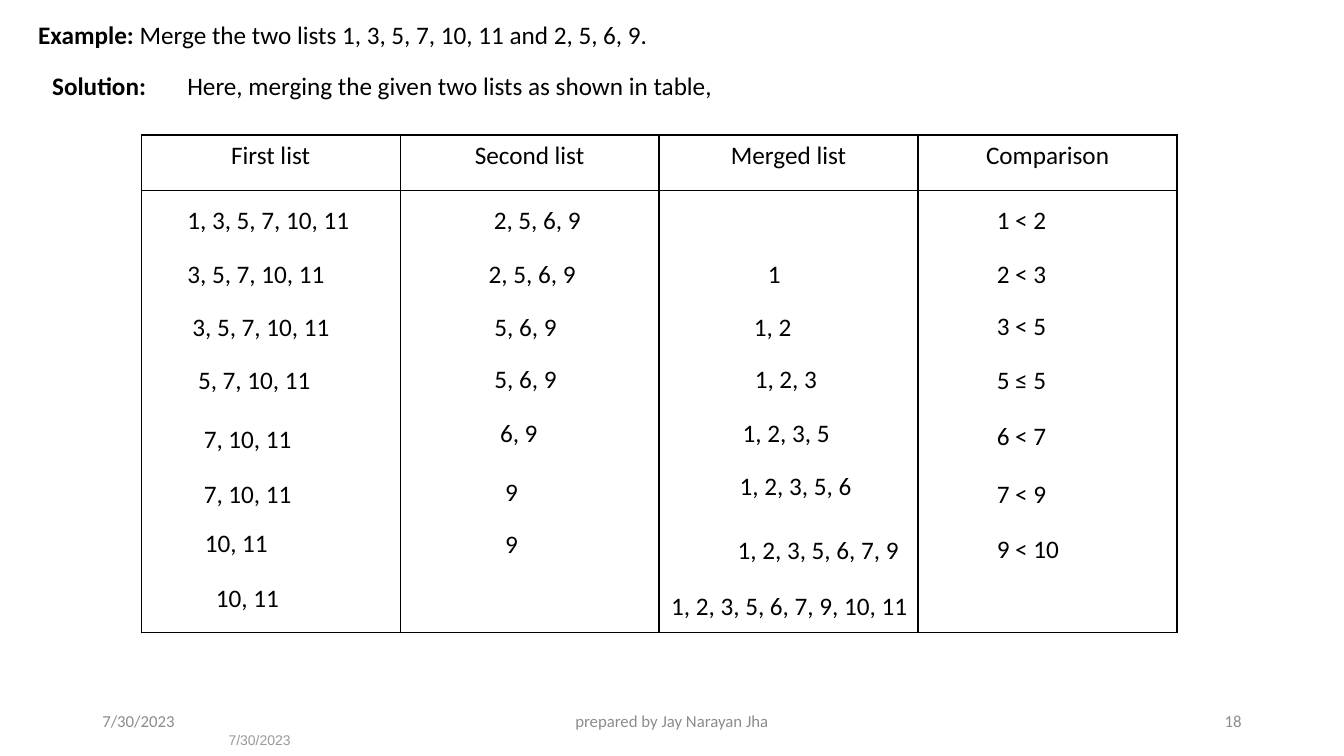
"""Build the slide that merges two sorted lists step by step."""
from lxml.etree import SubElement
from pptx import Presentation
from pptx.dml.color import RGBColor
from pptx.enum.text import MSO_ANCHOR, MSO_AUTO_SIZE, PP_ALIGN
from pptx.oxml.ns import qn
from pptx.util import Pt

COLORS = {"ink": "000000", "footer": "8C8C8C", "stamp": "9B9A98"}
GLYPH_EMS = {" ": 0.226, ",": 0.25, "<": 0.498, "≤": 0.498}
DIGIT_EMS = 0.507
LINE_HEIGHT = 29

FIRST_LIST = [
    ("1, 3, 5, 7, 10, 11", 126.7, 142.6),
    ("3, 5, 7, 10, 11", 126.7, 180.7),
    ("3, 5, 7, 10, 11", 130.3, 218.9),
    ("5, 7, 10, 11", 134.4, 257),
    ("7, 10, 11", 138.5, 298.8),
    ("7, 10, 11", 138.5, 338.4),
    ("10, 11", 139.2, 373),
    ("10, 11", 147.1, 412.6),
]
SECOND_LIST = [
    ("2, 5, 6, 9", 345.6, 142.6),
    ("2, 5, 6, 9", 342, 180.7),
    ("5, 6, 9", 346.1, 218.9),
    ("5, 6, 9", 346.1, 256.3),
    ("6, 9", 350.1, 294.5),
    ("9", 353.7, 337),
    ("9", 353.7, 373.7),
]
MERGED_LIST = [
    ("1", 541.4, 180.7),
    ("1, 2", 531.4, 218.9),
    ("1, 2, 3", 532.1, 255.6),
    ("1, 2, 3, 5", 523.4, 294.5),
    ("1, 2, 3, 5, 6", 521.3, 332.6),
    ("1, 2, 3, 5, 6, 7, 9", 519.8, 378),
    ("1, 2, 3, 5, 6, 7, 9, 10, 11", 472.3, 418.3),
]
COMPARISON_LEFT = 704.9
COMPARISONS = [
    ("1 < 2", 142.6),
    ("2 < 3", 180.7),
    ("3 < 5", 218.2),
    ("5 ≤ 5", 257),
    ("6 < 7", 296.6),
    ("7 < 9", 338.4),
    ("9 < 10", 377.3),
]


def write(frame, text, size=18, font="Calibri", color="ink", bold=False, align=PP_ALIGN.LEFT):
    """Append one formatted span to the first paragraph of a text frame."""
    para = frame.paragraphs[0]
    para.alignment = align
    span = para.add_run()
    span.text = text
    span.font.size = Pt(size)
    span.font.name = font
    span.font.bold = bold
    span.font.color.rgb = RGBColor.from_string(COLORS[color])


def entry_width(text, size=18):
    """Return the width of a list entry including its side insets."""
    ems = sum(GLYPH_EMS.get(glyph, DIGIT_EMS) for glyph in text)
    return round(ems * size + 14.4, 2)


class SlideBuilder:
    """Hold the style and the current page and add its elements."""

    def __init__(self, page, border_width=1):
        """Remember the page and the border width."""
        self.page = page
        self.border_width = border_width

    def line(self, left, top, width, spans, wrap=False):
        """Add a box of one line that grows with its text."""
        box = self.page.shapes.add_textbox(Pt(left), Pt(top), Pt(width), Pt(LINE_HEIGHT))
        box.text_frame.word_wrap = wrap
        box.text_frame.auto_size = MSO_AUTO_SIZE.SHAPE_TO_FIT_TEXT
        for text, bold in spans:
            write(box.text_frame, text, bold=bold)

    def entry(self, text, left, top):
        """Add one list entry or comparison."""
        self.line(left, top, entry_width(text), [(text, False)])

    def footer(self, text, left, top, width, anchor=MSO_ANCHOR.MIDDLE, bottom=3.6, **style):
        """Add one piece of the page footer."""
        box = self.page.shapes.add_textbox(Pt(left), Pt(top), Pt(width), Pt(28.8))
        frame = box.text_frame
        frame.word_wrap = True
        frame.vertical_anchor = anchor
        frame.margin_bottom = Pt(bottom)
        write(frame, text, **{"size": 12, "color": "footer", **style})

    def border(self, cell):
        """Draw a solid line on all four sides of a cell."""
        properties = cell._tc.get_or_add_tcPr()
        for side in ("lnL", "lnR", "lnT", "lnB"):
            edge = SubElement(properties, qn(f"a:{side}"), w=str(Pt(self.border_width)))
            fill = SubElement(edge, qn("a:solidFill"))
            SubElement(fill, qn("a:srgbClr"), val=COLORS["ink"])

    def grid(self, left, top, column_width, row_heights, headings):
        """Add the bordered table with its headings."""
        shape = self.page.shapes.add_table(
            len(row_heights), len(headings), Pt(left), Pt(top),
            Pt(column_width * len(headings)), Pt(sum(row_heights)))
        table = shape.table
        table.first_row = False
        table.horz_banding = False
        for column in table.columns:
            column.width = Pt(column_width)
        for row, height in zip(table.rows, row_heights):
            row.height = Pt(height)
        for cell in table.iter_cells():
            self.border(cell)
            cell.fill.background()
        for cell, heading in zip(table.rows[0].cells, headings):
            write(cell.text_frame, heading, align=PP_ALIGN.CENTER)


def main():
    """Create the deck and save it."""
    deck = Presentation()
    deck.slide_width, deck.slide_height = Pt(960), Pt(540)
    builder = SlideBuilder(deck.slides.add_slide(deck.slide_layouts[6]))

    builder.footer("7/30/2023", 156.2, 505.4, 167.8, anchor=MSO_ANCHOR.BOTTOM,
                   bottom=0, size=10, font="Arial", color="stamp")
    builder.footer("7/30/2023", 66, 500.4, 216)
    builder.footer("prepared by Jay Narayan Jha", 318, 500.4, 324, align=PP_ALIGN.CENTER)
    builder.footer("18", 678, 500.4, 216, align=PP_ALIGN.RIGHT)

    builder.line(20.2, 10.1, 455, [
        ("Example: ", True),
        ("Merge the two lists 1, 3, 5, 7, 10, 11 and 2, 5, 6, 9.", False)])
    builder.line(30.2, 46.8, 86.4, [("Solution:", True)])
    builder.line(126.7, 46.8, 438.5, [
        ("Here, merging the given two lists as shown in table,", False)], wrap=True)

    builder.grid(100.8, 96.5, 185, [39.6, 316],
                 ["First list", "Second list", "Merged list", "Comparison"])
    for text, left, top in FIRST_LIST + SECOND_LIST + MERGED_LIST:
        builder.entry(text, left, top)
    for text, top in COMPARISONS:
        builder.entry(text, COMPARISON_LEFT, top)

    deck.save("out.pptx")


if __name__ == "__main__":
    main()
